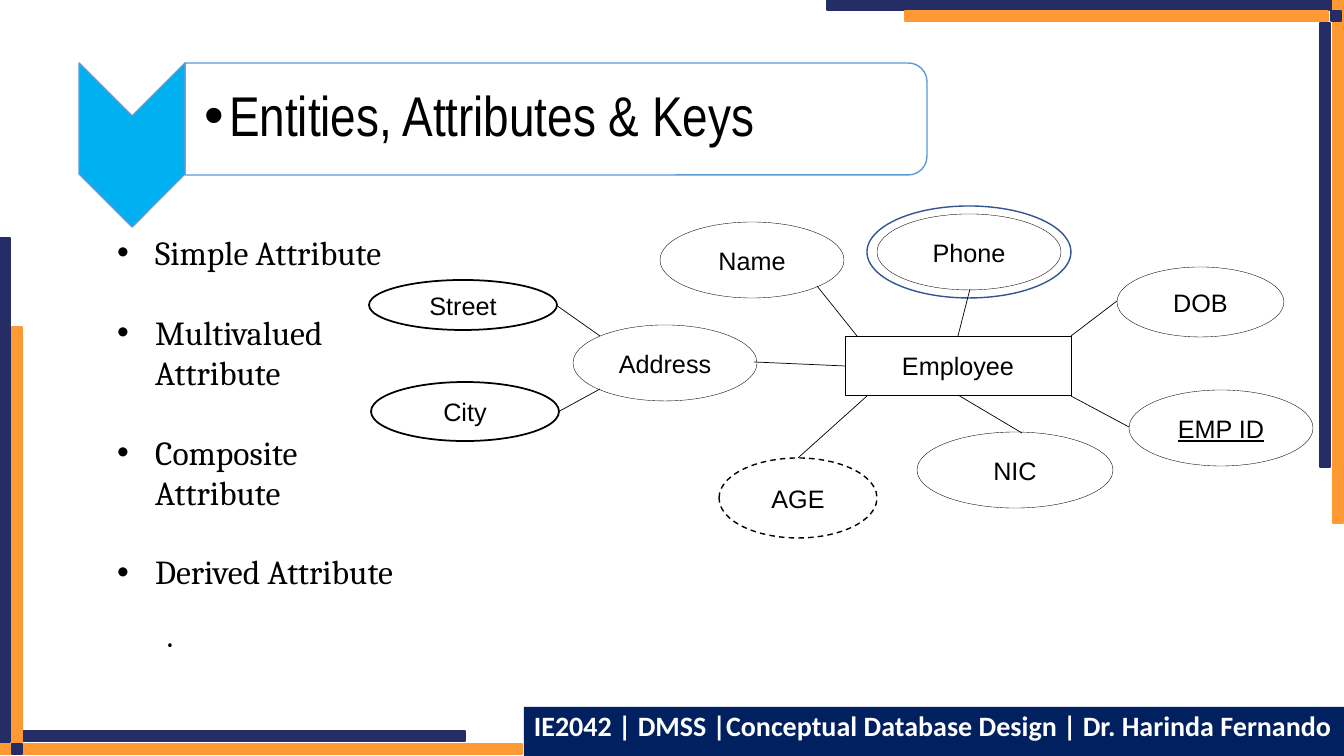
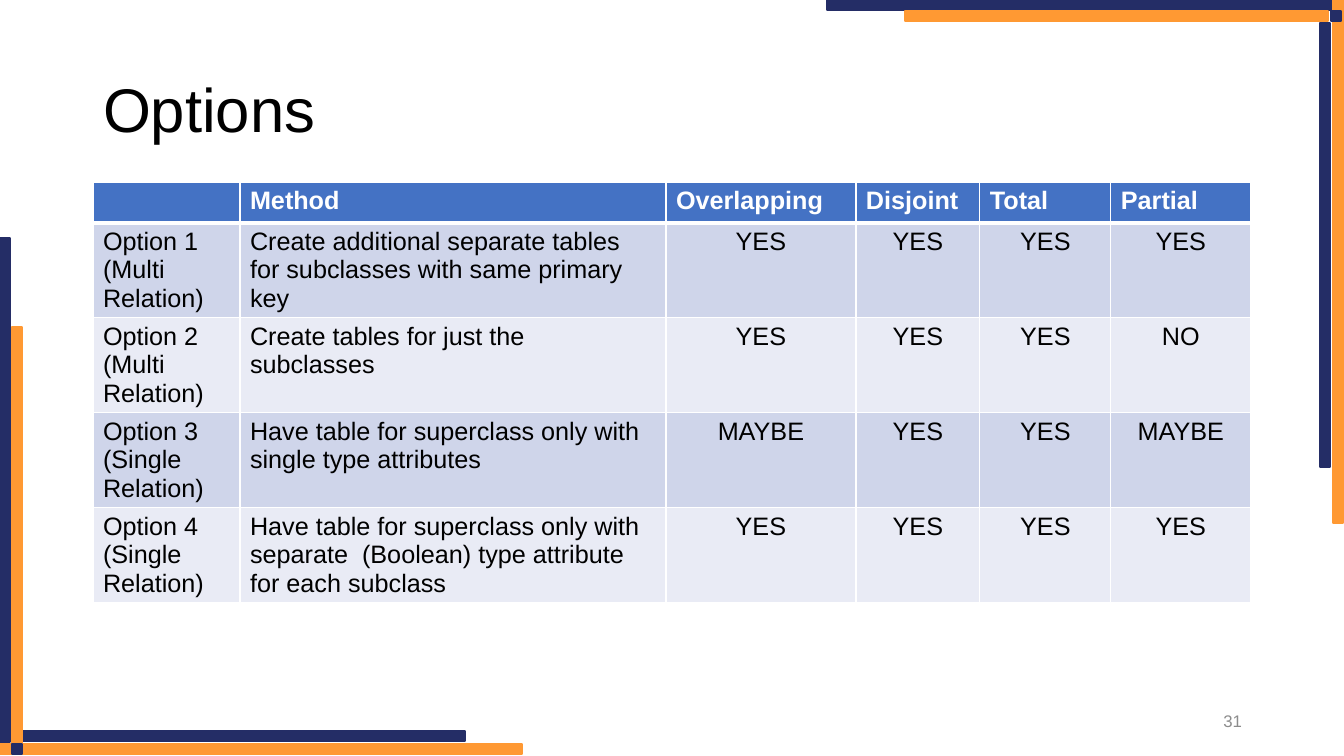
from dataclasses import dataclass

from lxml import etree
from pptx import Presentation, dml, presentation, slide as sl, util as u
from pptx.dml import color, fill as df, line as dl
from pptx.enum import dml as ed, shapes as es, text as et
from pptx.oxml import ns
from pptx.shapes import autoshape, base
from pptx.table import _Cell as Cell
from pptx.text import text as tx

NAVY, GOLD = "242D66", "FF9933"
BLACK, WHITE, SKY = "000000", "FFFFFF", "5B9BD5"
FACE = "Arial"
KIND = es.MSO_SHAPE
LEFT, MID, RIGHT = et.PP_ALIGN.LEFT, et.PP_ALIGN.CENTER, et.PP_ALIGN.RIGHT


@dataclass(frozen=True)
class Box:
    x: int
    y: int
    w: int
    h: int


@dataclass(frozen=True)
class Band:
    box: Box
    ink: str


@dataclass(frozen=True)
class Node:
    label: str
    box: Box
    kind: KIND = KIND.OVAL
    edge: float = 0.25
    ink: str = BLACK
    fill: str | None = WHITE
    under: bool = False
    dash: bool = False


@dataclass(frozen=True)
class Link:
    x1: int
    y1: int
    x2: int
    y2: int


BANDS = [
    Band(Box(1333, 0, 10, 523), GOLD),
    Band(Box(1320, 23, 10, 444), NAVY),
    Band(Box(827, 0, 504, 10), NAVY),
    Band(Box(905, 11, 423, 10), GOLD),
    Band(Box(1331, 11, 10, 10), NAVY),
    Band(Box(0, 744, 522, 10), GOLD),
    Band(Box(21, 731, 444, 10), NAVY),
    Band(Box(0, 238, 10, 504), NAVY),
    Band(Box(12, 327, 10, 423), GOLD),
    Band(Box(12, 744, 10, 10), NAVY),
]

NODES = [
    Node("Employee", Box(845, 336, 226, 59), KIND.RECTANGLE),
    Node("EMP ID", Box(1129, 390, 184, 76), under=True),
    Node("Name", Box(660, 222, 184, 76)),
    Node("Phone", Box(877, 214, 184, 76)),
    Node("DOB", Box(1117, 267, 167, 70)),
    Node("", Box(867, 206, 204, 92), edge=1, ink="325491", fill=None),
    Node("Address", Box(573, 325, 184, 76)),
    Node("Street", Box(369, 280, 188, 50), edge=1.25),
    Node("City", Box(371, 382, 188, 59), edge=1.25),
    Node("NIC", Box(917, 432, 196, 76)),
    Node("AGE", Box(719, 458, 158, 80), edge=1, dash=True),
]

LINKS = [
    Link(1129, 427, 1071, 396),
    Link(817, 286, 857, 336),
    Link(970, 289, 958, 336),
    Link(1117, 301, 1071, 336),
    Link(754, 362, 845, 366),
    Link(556, 305, 600, 336),
    Link(558, 412, 600, 389),
    Link(1022, 433, 958, 395),
    Link(798, 458, 867, 396),
]

TERMS = ["Simple Attribute", "Multivalued Attribute",
         "Composite Attribute", "Derived Attribute", "."]

COLS = [147, 426, 190, 124, 131, 140]
ROWS = [38, 95, 95, 95, 95]
GRID = [
    ["", "Method", "Overlapping", "Disjoint", "Total", "Partial"],
    ["Option 1\n(Multi Relation)",
     "Create additional separate tables for subclasses with same primary key",
     "YES", "YES", "YES", "YES"],
    ["Option 2\n(Multi Relation)",
     "Create tables for just the subclasses",
     "YES", "YES", "YES", "NO"],
    ["Option 3\n(Single Relation)",
     "Have table for superclass only with single type attributes",
     "MAYBE", "YES", "YES", "MAYBE"],
    ["Option 4\n(Single Relation)",
     "Have table for superclass only with separate  (Boolean) type attribute "
     "for each subclass",
     "YES", "YES", "YES", "YES"],
]


def px(n: int) -> u.Emu:
    return u.Emu(round(n * 914400 / 100.8))


def spread(box: Box) -> tuple[u.Emu, ...]:
    return px(box.x), px(box.y), px(box.w), px(box.h)


def rgb(code: str) -> color.RGBColor:
    return color.RGBColor.from_string(code)


def paint(fill: df.FillFormat, code: str | None) -> None:
    if code is None:
        fill.background()
    else:
        fill.solid()
        fill.fore_color.rgb = rgb(code)


def stroke(line: dl.LineFormat, code: str | None, width: float = 1) -> None:
    paint(line.fill, code)
    if code:
        line.width = u.Pt(width)


def draw(page: sl.Slide, kind: KIND, box: Box, fill: str | None,
         ink: str | None, width: float = 1) -> autoshape.Shape:
    shape = page.shapes.add_shape(kind, *spread(box))
    shape.shadow.inherit = False
    paint(shape.fill, fill)
    stroke(shape.line, ink, width)
    return shape


def place(shape: base.BaseShape, box: Box) -> None:
    shape.left, shape.top, shape.width, shape.height = spread(box)


def style(para: tx._Paragraph, size: int, ink: str = BLACK, face: str = FACE,
          bold: bool = False, under: bool = False, align: et.PP_ALIGN = LEFT) -> None:
    para.alignment = align
    for run in para.runs:
        font = run.font
        font.name, font.size = face, u.Pt(size)
        font.bold, font.underline = bold, under
        font.color.rgb = rgb(ink)


def indent(para: tx._Paragraph, left: int, first: int, mark: str = "") -> None:
    props = para._p.get_or_add_pPr()
    props.set("marL", str(px(left)))
    props.set("indent", str(px(first)))
    if mark:
        etree.SubElement(props, ns.qn("a:buFont")).set("typeface", FACE)
        etree.SubElement(props, ns.qn("a:buChar")).set("char", mark)
    else:
        etree.SubElement(props, ns.qn("a:buNone"))


def head(page: sl.Slide, words: str, box: Box, size: int,
         face: str = FACE) -> tx.TextFrame:
    title = page.shapes.title
    place(title, box)
    frame = title.text_frame
    frame.text = words
    frame.word_wrap = True
    frame.auto_size = et.MSO_AUTO_SIZE.NONE
    frame.vertical_anchor = et.MSO_ANCHOR.MIDDLE
    para = frame.paragraphs[0]
    style(para, size, face=face)
    para.line_spacing = 0.9
    return frame


def frame_page(deck: presentation.Presentation, page: sl.Slide) -> None:
    tree = deck.slide_master.shapes.element
    for n, band in enumerate(BANDS):
        shape = draw(page, KIND.RECTANGLE, band.box, band.ink, band.ink)
        shape.element.nvSpPr.cNvPr.set("id", str(100 + n))
        tree.insert(2 + n, shape.element)


def banner(page: sl.Slide) -> None:
    frame = head(page, "Entities, Attributes & Keys", Box(185, 68, 739, 101),
                 40, "Arial Narrow")
    frame.margin_left = px(19)
    frame.margin_top = frame.margin_right = frame.margin_bottom = px(2)
    indent(frame.paragraphs[0], 25, -25, "•")
    arrow = draw(page, KIND.CHEVRON, Box(50, 92, 164, 106), "00B0F0", SKY)
    panel = draw(page, KIND.ROUND_2_SAME_RECTANGLE, Box(500, -252, 112, 742), None, SKY)
    arrow.rotation = panel.rotation = 90


def list_terms(page: sl.Slide) -> None:
    body = page.placeholders[1]
    place(body, Box(107, 227, 316, 437))
    frame = body.text_frame
    frame.text = "\n".join(TERMS)
    frame.auto_size = et.MSO_AUTO_SIZE.NONE
    *items, last = frame.paragraphs
    for n, para in enumerate(items):
        style(para, 24, face="Cambria")
        para.space_before = u.Pt(28 if n else 0)
        indent(para, 38, -38, "•")
    last.level = 1
    style(last, 18, face="Cambria", bold=True)
    last.space_before = u.Pt(22)
    indent(last, 50, 0)


def draw_node(page: sl.Slide, node: Node) -> None:
    shape = draw(page, node.kind, node.box, node.fill, node.ink, node.edge)
    if node.dash:
        shape.line.dash_style = ed.MSO_LINE.DASH
    if node.label:
        frame = shape.text_frame
        frame.text = node.label
        frame.vertical_anchor = et.MSO_ANCHOR.MIDDLE
        style(frame.paragraphs[0], 18, under=node.under, align=MID)


def draw_link(page: sl.Slide, link: Link) -> None:
    line = page.shapes.add_connector(
        es.MSO_CONNECTOR.STRAIGHT, px(link.x1), px(link.y1), px(link.x2), px(link.y2))
    stroke(line.line, BLACK, 0.5)
    etree.SubElement(line.element.spPr, ns.qn("a:effectLst"))


def foot(page: sl.Slide) -> None:
    bar = draw(page, KIND.RECTANGLE, Box(524, 707, 820, 49), "002060", None)
    frame = bar.text_frame
    frame.text = "IE2042 | DMSS |Conceptual Database Design | Dr. Harinda Fernando"
    frame.vertical_anchor = et.MSO_ANCHOR.TOP
    para = frame.paragraphs[0]
    style(para, 20, WHITE, "Calibri", bold=True)
    para.line_spacing = 0.9


def number(page: sl.Slide, words: str) -> None:
    frame = page.shapes.add_textbox(*spread(Box(950, 701, 302, 40))).text_frame
    frame.text = words
    frame.word_wrap = True
    frame.vertical_anchor = et.MSO_ANCHOR.MIDDLE
    style(frame.paragraphs[0], 12, "8C8C8C", align=RIGHT)


def rule(cell: Cell, row: int) -> None:
    props = cell._tc.get_or_add_tcPr()
    for side in "LRTB":
        thick = (row, side) in ((0, "B"), (1, "T"))
        edge = etree.SubElement(props, ns.qn(f"a:ln{side}"))
        edge.set("w", str(u.Pt(3 if thick else 1)))
        fill = etree.SubElement(edge, ns.qn("a:solidFill"))
        etree.SubElement(fill, ns.qn("a:srgbClr")).set("val", WHITE)


def draw_grid(page: sl.Slide) -> None:
    box = Box(93, 182, sum(COLS), sum(ROWS))
    table = page.shapes.add_table(len(ROWS), len(COLS), *spread(box)).table
    for col, width in zip(table.columns, COLS):
        col.width = px(width)
    for r, (line, words) in enumerate(zip(table.rows, GRID)):
        line.height = px(ROWS[r])
        shade = "4472C4" if r == 0 else ("E9EBF5", "CFD5EA")[r % 2]
        for c, (cell, word) in enumerate(zip(line.cells, words)):
            rule(cell, r)
            paint(cell.fill, shade)
            cell.text_frame.text = word
            for para in cell.text_frame.paragraphs:
                style(para, 18, BLACK if r else WHITE, bold=r == 0,
                      align=MID if r and c > 1 else LEFT)


def main() -> None:
    deck = Presentation()
    deck.slide_width, deck.slide_height = px(1344), px(756)

    keys = deck.slides.add_slide(deck.slide_layouts[1])
    frame_page(deck, keys)
    banner(keys)
    list_terms(keys)
    for node in NODES:
        draw_node(keys, node)
    for link in LINKS:
        draw_link(keys, link)
    foot(keys)

    picks = deck.slides.add_slide(deck.slide_layouts[5])
    head(picks, "Options", Box(93, 40, 1159, 146), 44)
    draw_grid(picks)
    number(picks, "31")

    deck.save("out.pptx")


if __name__ == "__main__":
    main()
